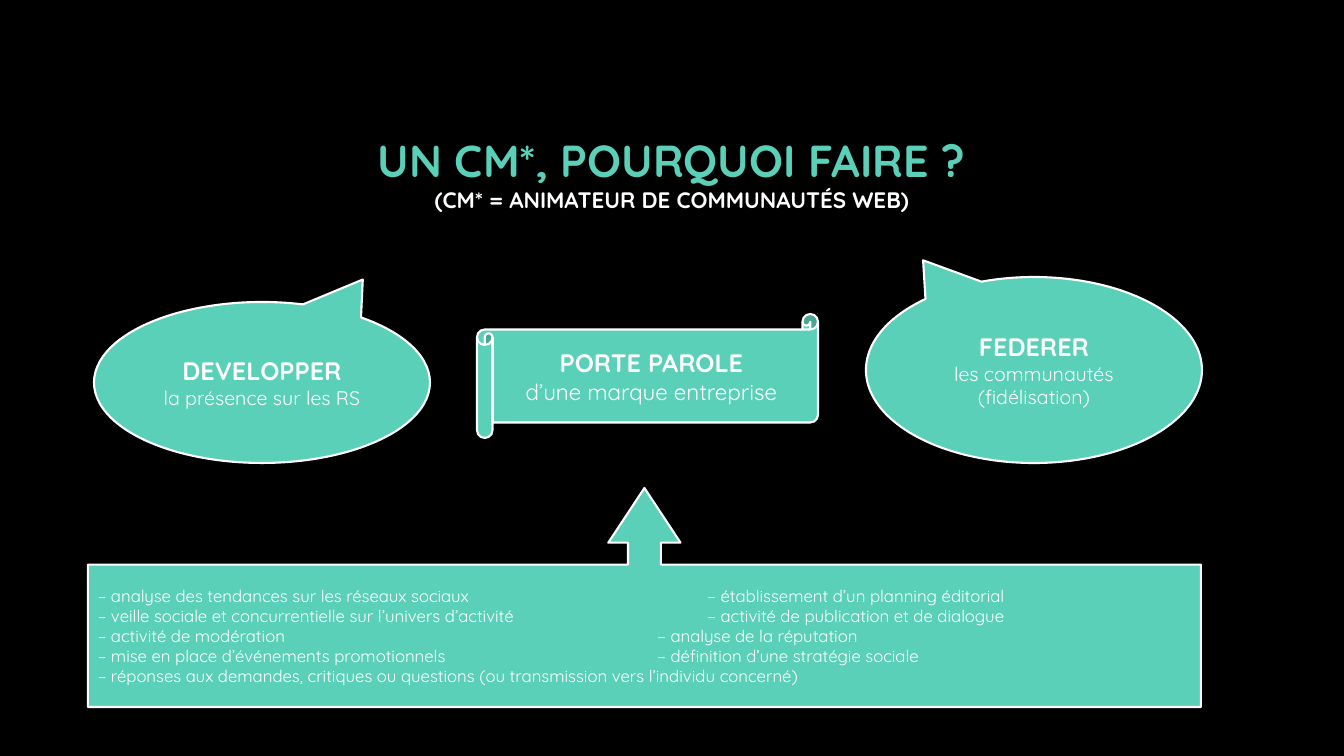
"""Builds the slide on what a community manager is for."""
from typing import NamedTuple

from lxml import etree
from pptx import Presentation
from pptx import util as u
from pptx.dml.color import RGBColor
from pptx.enum import shapes, text
from pptx.oxml.ns import qn

COLOURS = {"background": "000000", "mint": "5AD0B8", "white": "FFFFFF"}
FONT = "Quicksand"
EMU_PER_PX = 914400 / 100.8


class Box(NamedTuple):
    left: int
    top: int
    width: int
    height: int


class Line(NamedTuple):
    words: str
    size: int
    bold: bool = False
    colour: str = "white"
    tab: int = 0


class Panel(NamedTuple):
    preset: shapes.MSO_SHAPE
    box: Box
    lines: list[Line]
    adjustments: tuple[float, ...] = ()
    align: text.PP_ALIGN = text.PP_ALIGN.CENTER


TASKS = [
    ("– analyse des tendances sur les réseaux sociaux\t – établissement d’un planning éditorial", 605),
    ("– veille sociale et concurrentielle sur l’univers d’activité\t – activité de publication et de dialogue", 605),
    ("– activité de modération\t – analyse de la réputation", 555),
    ("– mise en place d’événements promotionnels\t – définition d’une stratégie sociale", 555),
    ("– réponses aux demandes, critiques ou questions (ou transmission vers l’individu concerné)", 0),
]

HEADLINE = [
    Line("UN CM*, POURQUOI FAIRE ?", 32, True, "mint"),
    Line("(CM* = ANIMATEUR DE COMMUNAUTÉS WEB)", 16, True),
]

CALLOUT = shapes.MSO_SHAPE.OVAL_CALLOUT
PANELS = [
    Panel(CALLOUT, Box(866, 277, 336, 186),
          [Line("FEDERER", 18, True), Line("les communautés (fidélisation)", 14)],
          (-0.33, -0.59)),
    Panel(CALLOUT, Box(94, 302, 336, 161),
          [Line("DEVELOPPER", 18, True), Line("la présence sur les RS", 14)],
          (0.3, -0.64)),
    Panel(shapes.MSO_SHAPE.HORIZONTAL_SCROLL, Box(477, 314, 341, 124),
          [Line("PORTE PAROLE", 18, True), Line("d’une marque entreprise", 16)]),
    Panel(shapes.MSO_SHAPE.UP_ARROW_CALLOUT, Box(88, 488, 1113, 219),
          [Line(words, 12, tab=tab) for words, tab in TASKS],
          (0.15, 0.165, 0.25, 0.65), text.PP_ALIGN.LEFT),
]


def px(length: int) -> u.Emu:
    return u.Emu(round(length * EMU_PER_PX))


def rgb(name: str) -> RGBColor:
    return RGBColor.from_string(COLOURS[name])


def add_run(paragraph, line: Line) -> None:
    run = paragraph.add_run()
    run.text = line.words
    run.font.name = FONT
    run.font.size = u.Pt(line.size)
    run.font.bold = line.bold
    run.font.color.rgb = rgb(line.colour)


def set_tab(paragraph, position: int) -> None:
    properties = paragraph._p.get_or_add_pPr()
    stops = etree.SubElement(properties, qn("a:tabLst"))
    etree.SubElement(stops, qn("a:tab"), pos=str(px(position)), algn="l")


def prepare_frame(frame) -> None:
    frame.word_wrap = True
    frame.auto_size = text.MSO_AUTO_SIZE.NONE
    frame.vertical_anchor = text.MSO_ANCHOR.MIDDLE


def fill_title(title) -> None:
    title.left, title.top, title.width, title.height = map(px, Box(126, 68, 1092, 210))
    prepare_frame(title.text_frame)
    paragraph = title.text_frame.paragraphs[0]
    paragraph.alignment = text.PP_ALIGN.CENTER
    for index, line in enumerate(HEADLINE):
        if index:
            paragraph.add_line_break()
        add_run(paragraph, line)


def draw_panel(slide, panel: Panel) -> None:
    shape = slide.shapes.add_shape(panel.preset, *map(px, panel.box))
    for index, value in enumerate(panel.adjustments):
        shape.adjustments[index] = value
    shape.shadow.inherit = False
    shape.fill.solid()
    shape.fill.fore_color.rgb = rgb("mint")
    shape.line.color.rgb = rgb("white")
    shape.line.width = u.Pt(1.5)
    frame = shape.text_frame
    prepare_frame(frame)
    for index, line in enumerate(panel.lines):
        paragraph = frame.add_paragraph() if index else frame.paragraphs[0]
        paragraph.alignment = panel.align
        if line.tab:
            set_tab(paragraph, line.tab)
        add_run(paragraph, line)


def main() -> None:
    deck = Presentation()
    deck.slide_width, deck.slide_height = px(1344), px(756)
    slide = deck.slides.add_slide(deck.slide_layouts.get_by_name("Title Only"))
    slide.background.fill.solid()
    slide.background.fill.fore_color.rgb = rgb("background")
    fill_title(slide.shapes.title)
    for panel in PANELS:
        draw_panel(slide, panel)
    deck.save("out.pptx")


if __name__ == "__main__":
    main()
